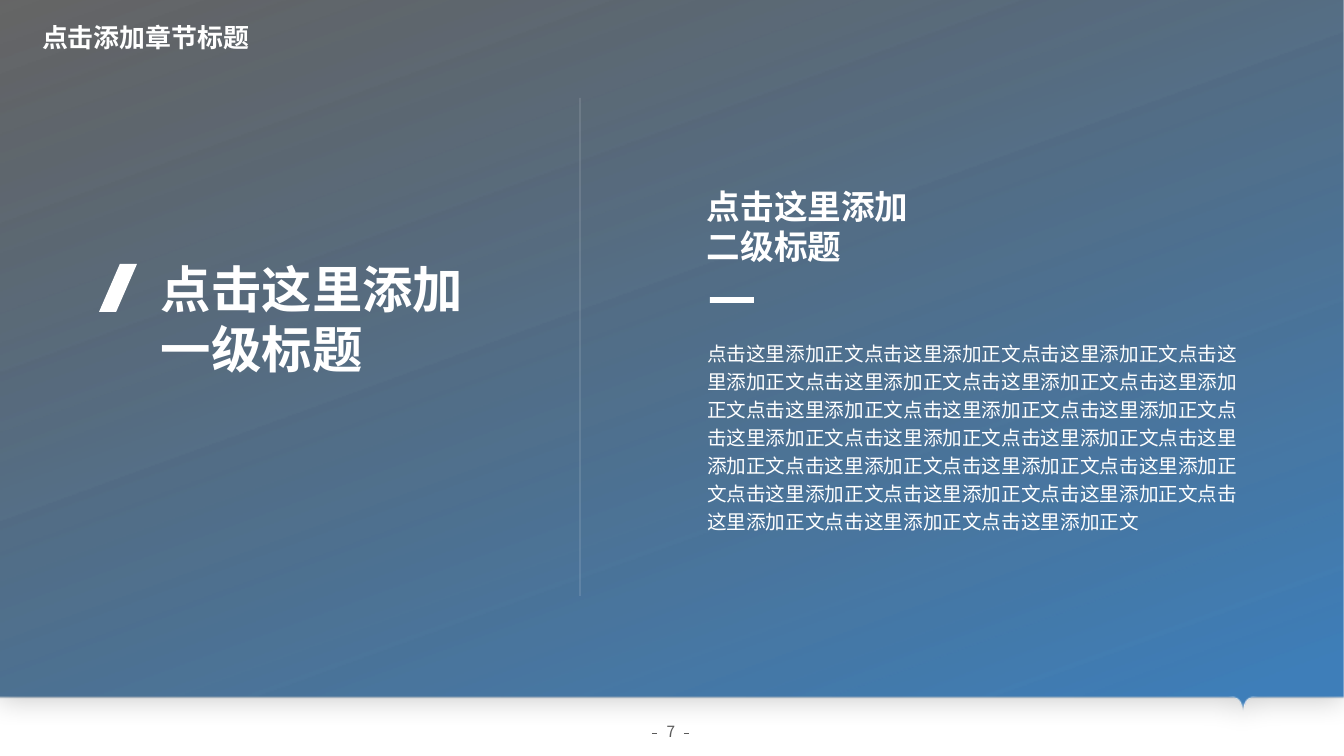
from dataclasses import dataclass

from lxml import etree
from pptx import Presentation
from pptx import util as u
from pptx.dml.color import RGBColor
from pptx.enum import shapes, text
from pptx.oxml.ns import qn

EMU_PER_PX = 914400 / 100.8
WIDTH, HEIGHT = 1344, 756
TIP_X, TIP_Y = 1243, 712


@dataclass(frozen=True)
class Theme:
    white: str = "FFFFFF"
    blue: str = "0055A2"
    black: str = "000000"
    grey: str = "5A5A5A"
    latin: str = "Arial"
    cjk: str = "Noto Sans CJK SC"
    chapter: float = 18.5
    heading: float = 36
    subheading: float = 24
    body: float = 14
    number: float = 11


THEME = Theme()


def px(length):
    return u.Emu(round(length * EMU_PER_PX))


def rgb(value):
    return RGBColor.from_string(value)


def set_opacity(color_parent, percent):
    """Add an alpha value to the colour held by a fill or gradient stop."""
    color = color_parent.find(qn("a:srgbClr"))
    etree.SubElement(color, qn("a:alpha")).set("val", str(percent * 1000))


def write(shape, lines, size, color=THEME.white, font=THEME.latin, bold=False,
          align=text.PP_ALIGN.LEFT, spacing=None):
    """Fill a text shape, one paragraph per line."""
    frame = shape.text_frame
    frame.word_wrap = True
    frame.auto_size = text.MSO_AUTO_SIZE.NONE
    frame.vertical_anchor = text.MSO_ANCHOR.TOP
    frame.text = "\n".join(lines)
    for para in frame.paragraphs:
        para.alignment = align
        para.space_before = u.Pt(0)
        if spacing:
            para.line_spacing = spacing
        span = para.runs[0]
        for style in (para.font, span.font):
            style.name = font
            style.size = u.Pt(size)
            style.bold = bold
            style.color.rgb = rgb(color)
        latin = span.font._element.find(qn("a:latin"))
        east_asian = etree.Element(qn("a:ea"), typeface=THEME.cjk)
        latin.addnext(east_asian)


def add_text(slide, box, lines, size, **style):
    write(slide.shapes.add_textbox(*map(px, box)), lines, size, **style)


def fill_placeholder(slide, holder, box, lines, size, **style):
    """Place a template placeholder above the panels and fill it."""
    holder.left, holder.top, holder.width, holder.height = map(px, box)
    write(holder, lines, size, **style)
    for para in holder.text_frame.paragraphs:
        props = para._p.get_or_add_pPr()
        props.set("marL", "0")
        props.set("indent", "0")
        bullet = etree.Element(qn("a:buNone"))
        props.find(qn("a:defRPr")).addprevious(bullet)
    slide.shapes._spTree.append(holder._element)


def add_bar(slide, preset, box):
    bar = slide.shapes.add_shape(preset, *map(px, box))
    bar.shadow.inherit = False
    bar.fill.solid()
    bar.fill.fore_color.rgb = rgb(THEME.white)
    bar.line.fill.background()
    return bar


def add_line(slide, start, end, color, opacity=100):
    line = slide.shapes.add_connector(
        shapes.MSO_CONNECTOR.STRAIGHT, *map(px, start + end))
    line.line.width = u.Pt(0.5)
    line.line.color.rgb = rgb(color)
    props = line._element.spPr
    if opacity < 100:
        set_opacity(props.find(qn("a:ln")).find(qn("a:solidFill")), opacity)
    etree.SubElement(props, qn("a:effectLst"))


def add_panel(slide, bottom, half, lip):
    """Full-width panel whose lower edge ends in a curved pointer."""
    # Cubic curve from the pointer's shoulder down to its tip
    controls = [(half, bottom + lip), (half * 0.4, bottom + lip + 2),
                (0, TIP_Y - 6), (0, TIP_Y)]
    curve = []
    for step in range(9):
        t = step / 8
        weights = ((1 - t) ** 3, 3 * t * (1 - t) ** 2, 3 * t * t * (1 - t), t ** 3)
        curve.append(tuple(sum(w * point[axis] for w, point in zip(weights, controls))
                           for axis in (0, 1)))
    side = [(half * 1.5, bottom)] + curve
    right = [(TIP_X + x, y) for x, y in side]
    left = [(TIP_X - x, y) for x, y in reversed(side[:-1])]
    outline = [(WIDTH, 0), (WIDTH, bottom)] + right + left + [(0, bottom)]

    builder = slide.shapes.build_freeform(0, 0, scale=1.0)
    builder.add_line_segments([(px(x), px(y)) for x, y in outline])
    panel = builder.convert_to_shape()
    panel.shadow.inherit = False
    panel.line.fill.background()
    return panel


def add_shadow(shape):
    effects = shape._element.spPr.find(qn("a:effectLst"))
    shadow = etree.SubElement(
        effects, qn("a:outerShdw"), blurRad=str(u.Pt(20)), dist=str(u.Pt(3)),
        dir="5400000", algn="t", rotWithShape="0")
    etree.SubElement(shadow, qn("a:srgbClr"), val=THEME.black)
    set_opacity(shadow, 20)


def add_backdrop(slide):
    base = add_panel(slide, bottom=696, half=10, lip=1)
    base.fill.solid()
    base.fill.fore_color.rgb = rgb(THEME.white)
    add_shadow(base)

    tint = add_panel(slide, bottom=698, half=6, lip=1)
    tint.fill.gradient()
    tint.fill.gradient_angle = 110
    stops = [(0.05, THEME.blue, 75), (1, THEME.black, 60)]
    for stop, (position, color, opacity) in zip(tint.fill.gradient_stops, stops):
        stop.position = position
        stop.color.rgb = rgb(color)
        set_opacity(stop._gs, opacity)


def add_page_number(slide):
    for x in (652, 684):
        add_line(slide, (x, 733), (x + 5, 733), THEME.grey)
    add_text(slide, (637, 717, 68, 29), ["7"], THEME.number, color=THEME.grey,
             font=THEME.cjk, align=text.PP_ALIGN.CENTER)


def main():
    deck = Presentation()
    deck.slide_width, deck.slide_height = px(WIDTH), px(HEIGHT)
    slide = deck.slides.add_slide(deck.slide_layouts[1])
    title, body = slide.placeholders

    # Background and footer
    add_backdrop(slide)
    add_page_number(slide)
    add_line(slide, (580, 98), (580, 596), THEME.white, opacity=35)

    # Left: main heading
    add_text(slide, (151, 253, 371, 328), ["点击这里添加", "一级标题"],
             THEME.heading, bold=True)
    slash = add_bar(slide, shapes.MSO_SHAPE.PARALLELOGRAM, (99, 264, 38, 48))
    slash.adjustments[0] = 0.55

    # Right: subheading, rule and text
    add_text(slide, (697, 181, 295, 92), ["点击这里添加", "二级标题"],
             THEME.subheading, bold=True)
    add_bar(slide, shapes.MSO_SHAPE.RECTANGLE, (710, 297, 44, 6))
    fill_placeholder(slide, body, (697, 332, 551, 208), ["点击这里添加正文" * 23],
                     THEME.body, spacing=u.Pt(20))

    # Chapter title
    fill_placeholder(slide, title, (32, 23, 477, 36), ["点击添加章节标题"],
                     THEME.chapter, font=THEME.cjk, bold=True, spacing=0.8)

    deck.save("out.pptx")


if __name__ == "__main__":
    main()
